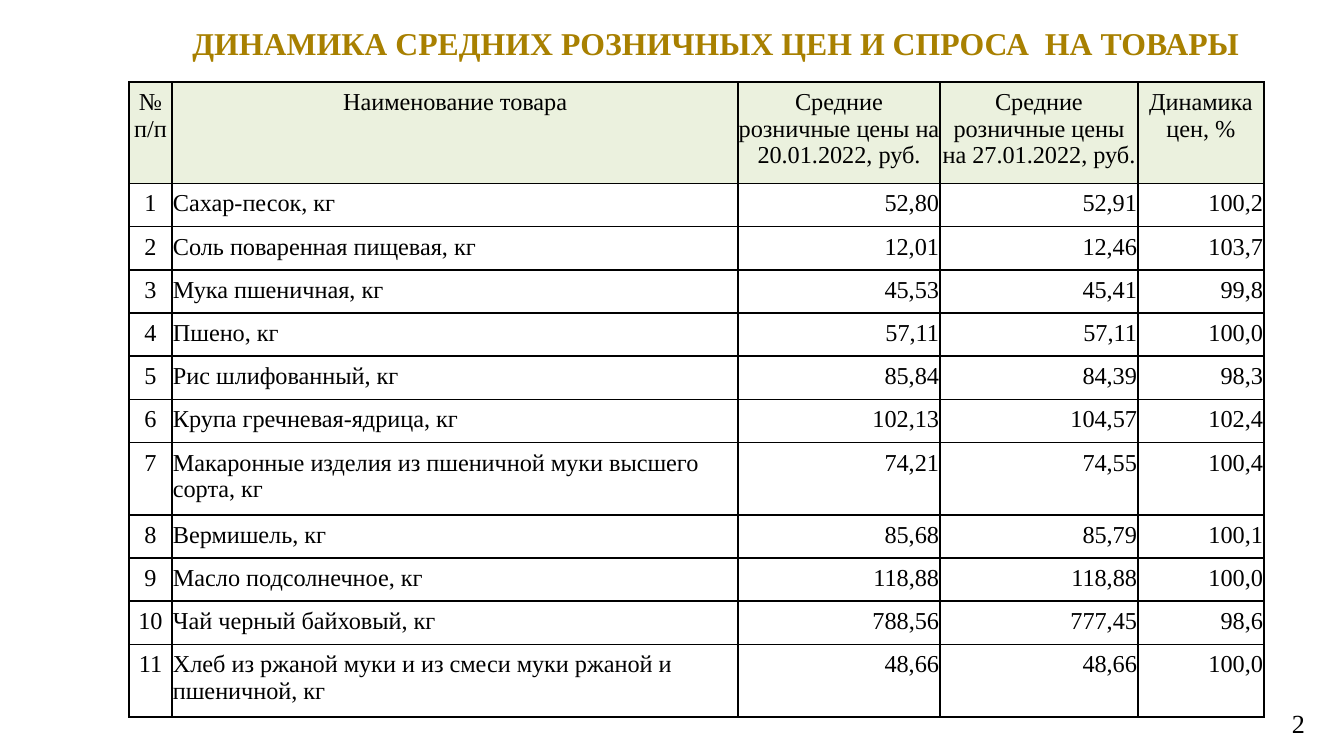
from lxml.etree import SubElement
from pptx import Presentation
from pptx.dml.color import RGBColor
from pptx.enum.text import MSO_ANCHOR, PP_ALIGN
from pptx.oxml.ns import qn
from pptx.util import Emu, Pt

EMU_PER_PX = 914400 / 134.4
FONT = "Times New Roman"
COLORS = {"title": "A88000", "text": "000000", "border": "000000",
          "header": "EBF1DE", "body": "FFFFFF"}
COLUMN_WIDTHS = [43, 566, 202, 198, 126]
COLUMN_ALIGNS = [PP_ALIGN.CENTER, PP_ALIGN.LEFT] + [PP_ALIGN.RIGHT] * 3
HEADER_HEIGHT, LINE_HEIGHT, DOUBLE_HEIGHT = 92, 38, 64
DOUBLE_ROWS = {7, 11}
HEADER = ["№ п/п", "Наименование товара",
          "Средние розничные цены на 20.01.2022, руб.",
          "Средние розничные цены на 27.01.2022, руб.",
          "Динамика цен, %"]
GOODS = [
    ("Сахар-песок, кг", "52,80", "52,91", "100,2"),
    ("Соль поваренная пищевая, кг", "12,01", "12,46", "103,7"),
    ("Мука пшеничная, кг", "45,53", "45,41", "99,8"),
    ("Пшено, кг", "57,11", "57,11", "100,0"),
    ("Рис шлифованный, кг", "85,84", "84,39", "98,3"),
    ("Крупа гречневая-ядрица, кг", "102,13", "104,57", "102,4"),
    ("Макаронные изделия из пшеничной муки высшего сорта, кг",
     "74,21", "74,55", "100,4"),
    ("Вермишель, кг", "85,68", "85,79", "100,1"),
    ("Масло подсолнечное, кг", "118,88", "118,88", "100,0"),
    ("Чай черный байховый, кг", "788,56", "777,45", "98,6"),
    ("Хлеб из ржаной муки и из смеси муки ржаной и пшеничной, кг",
     "48,66", "48,66", "100,0"),
]


def px(value):
    return Emu(round(value * EMU_PER_PX))


def set_attrs(target, values):
    for name, value in values.items():
        setattr(target, name, value)


def set_margins(target, left, top, right, bottom):
    set_attrs(target, {"margin_left": px(left), "margin_top": px(top),
                       "margin_right": px(right), "margin_bottom": px(bottom)})


def write_text(tf, text, size, align, color="text", bold=False):
    p = tf.paragraphs[0]
    p.alignment = align
    r = p.add_run()
    r.text = text
    set_attrs(r.font, {"name": FONT, "size": Pt(size), "bold": bold})
    r.font.color.rgb = RGBColor.from_string(COLORS[color])


def add_text(slide, box, margins, anchor, text, size, align, **style):
    tf = slide.shapes.add_textbox(*map(px, box)).text_frame
    set_attrs(tf, {"word_wrap": True, "vertical_anchor": anchor})
    set_margins(tf, *margins)
    write_text(tf, text, size, align, **style)


def add_borders(cell):
    tc_pr = cell._tc.get_or_add_tcPr()
    for index, side in enumerate(("a:lnL", "a:lnR", "a:lnT", "a:lnB")):
        ln = SubElement(tc_pr, qn(side), w=str(Pt(0.96)))
        fill = SubElement(ln, qn("a:solidFill"))
        SubElement(fill, qn("a:srgbClr"), val=COLORS["border"])
        tc_pr.insert(index, ln)


def fill_cell(cell, text, align, fill, inset):
    set_margins(cell, inset, 7, inset, 7)
    cell.fill.solid()
    cell.fill.fore_color.rgb = RGBColor.from_string(COLORS[fill])
    add_borders(cell)
    write_text(cell.text_frame, text, 13, align)


def row_height(row):
    if row == 0:
        return HEADER_HEIGHT
    return DOUBLE_HEIGHT if row in DOUBLE_ROWS else LINE_HEIGHT


def add_price_table(slide, left, top):
    rows = [HEADER] + [(str(n), *item) for n, item in enumerate(GOODS, 1)]
    heights = [row_height(i) for i in range(len(rows))]
    box = (left, top, sum(COLUMN_WIDTHS), sum(heights))
    table = slide.shapes.add_table(len(rows), len(HEADER), *map(px, box)).table
    for column, width in zip(table.columns, COLUMN_WIDTHS):
        column.width = px(width)
    for i, (values, height) in enumerate(zip(rows, heights)):
        table.rows[i].height = px(height)
        for j, text in enumerate(values):
            if i == 0:
                fill_cell(table.cell(i, j), text, PP_ALIGN.CENTER, "header", 0)
            else:
                fill_cell(table.cell(i, j), text, COLUMN_ALIGNS[j], "body", 1)


def main():
    prs = Presentation()
    set_attrs(prs, {"slide_width": px(1344), "slide_height": px(756)})
    slide = prs.slides.add_slide(prs.slide_layouts[6])
    add_text(slide, (149, 16, 1159, 54), (13, 7, 38, 7), MSO_ANCHOR.MIDDLE,
             "ДИНАМИКА СРЕДНИХ РОЗНИЧНЫХ ЦЕН И СПРОСА  НА ТОВАРЫ",
             17, PP_ALIGN.CENTER, color="title", bold=True)
    add_text(slide, (1255, 700, 63, 36), (13, 7, 13, 7), MSO_ANCHOR.TOP,
             "2", 14, PP_ALIGN.RIGHT)
    add_price_table(slide, 129, 82)
    prs.save("out.pptx")


if __name__ == "__main__":
    main()
